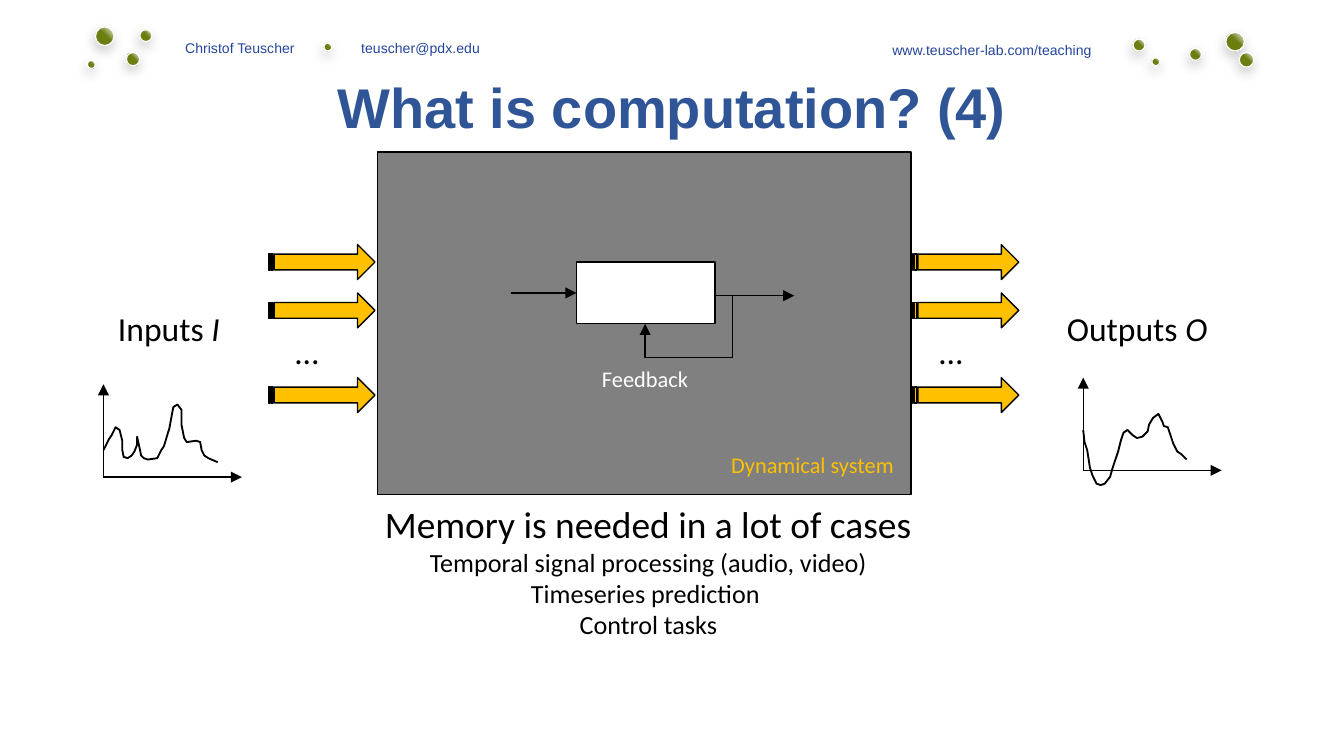
"""Builds the slide on computation with feedback and memory."""
from lxml.etree import SubElement
from pptx import Presentation
from pptx.dml.color import RGBColor
from pptx.enum.shapes import MSO_CONNECTOR as Connector, MSO_SHAPE as Shape
from pptx.enum.text import MSO_ANCHOR as Anchor, MSO_AUTO_SIZE as AutoSize, PP_ALIGN as Align
from pptx.oxml import parse_xml
from pptx.oxml.ns import nsdecls, qn
from pptx.util import Inches, Pt

BLACK, WHITE, GRAY = "000000", "FFFFFF", "808080"
ORANGE, NAVY, BLUE, GREEN = "FFC000", "24459C", "2F5597", "6A7F10"

DOTS = [
    (0.71, 0.2, 0.14), (9.12, 0.24, 0.14), (9.22, 0.39, 0.11), (1.04, 0.22, 0.09),
    (0.94, 0.39, 0.1), (0.65, 0.45, 0.06), (2.41, 0.32, 0.06), (8.85, 0.36, 0.09),
    (8.43, 0.29, 0.09), (8.57, 0.43, 0.06),
]
INPUT_CURVE = [
    (0.77, 3.35), (0.81, 3.27), (0.83, 3.24), (0.86, 3.18), (0.89, 3.2), (0.91, 3.28),
    (0.91, 3.35), (0.92, 3.4), (0.95, 3.41), (0.98, 3.39), (1, 3.36), (1.02, 3.31),
    (1.02, 3.25), (1.04, 3.34), (1.05, 3.39), (1.07, 3.41), (1.1, 3.42), (1.17, 3.41),
    (1.2, 3.35), (1.22, 3.32), (1.25, 3.22), (1.26, 3.19), (1.28, 3.08), (1.29, 3.03),
    (1.32, 3.01), (1.35, 3.05), (1.35, 3.16), (1.37, 3.26), (1.39, 3.29), (1.46, 3.28),
    (1.49, 3.29), (1.5, 3.35), (1.52, 3.39), (1.55, 3.41), (1.62, 3.44),
]
OUTPUT_CURVE = [
    (8.06, 3.2), (8.07, 3.29), (8.09, 3.35), (8.11, 3.48), (8.13, 3.54), (8.16, 3.6),
    (8.19, 3.61), (8.22, 3.6), (8.26, 3.55), (8.28, 3.48), (8.31, 3.39), (8.32, 3.36),
    (8.34, 3.28), (8.36, 3.22), (8.39, 3.2), (8.43, 3.24), (8.46, 3.26), (8.5, 3.25),
    (8.54, 3.21), (8.55, 3.16), (8.58, 3.11), (8.62, 3.08), (8.65, 3.14), (8.66, 3.17),
    (8.69, 3.18), (8.73, 3.3), (8.76, 3.36), (8.79, 3.38), (8.83, 3.42),
]


def color(value):
    return RGBColor.from_string(value)


class SlideBuilder:
    """Holds the style and the current slide."""

    def __init__(self, slide, font="Calibri", line_width=0.75):
        self.slide = slide
        self.font = font
        self.line_width = line_width

    def title(self, text, left, top, width, height):
        title = self.slide.shapes.title
        title.left, title.top = Inches(left), Inches(top)
        title.width, title.height = Inches(width), Inches(height)
        title.text_frame.vertical_anchor = Anchor.MIDDLE
        title.text_frame.text = text
        paragraph = title.text_frame.paragraphs[0]
        paragraph.alignment, paragraph.line_spacing = Align.CENTER, 0.9
        self.style_font(paragraph.font, 30, BLUE, "Arial")
        paragraph.font.bold = True

    def style_font(self, font, size, hue, name=None):
        font.name, font.size = name or self.font, Pt(size)
        font.color.rgb = color(hue)

    def text(self, lines, left, top, width, height, hue=BLACK, align=Align.LEFT,
             font=None, anchor=Anchor.TOP, tabs=()):
        box = self.slide.shapes.add_textbox(
            Inches(left), Inches(top), Inches(width), Inches(height))
        frame = box.text_frame
        is_label = anchor == Anchor.TOP
        frame.word_wrap, frame.vertical_anchor = not is_label, anchor
        frame.auto_size = AutoSize.SHAPE_TO_FIT_TEXT if is_label else AutoSize.NONE
        for index, (text, size) in enumerate(lines):
            paragraph = frame.add_paragraph() if index else frame.paragraphs[0]
            paragraph.alignment = align
            paragraph.add_run().text = text
            if tabs:
                self.tab_stops(paragraph, tabs)
            self.style_font(paragraph.font, size, hue, font)
        return frame.paragraphs[0]

    def tab_stops(self, paragraph, tabs):
        stops = SubElement(paragraph._p.get_or_add_pPr(), qn("a:tabLst"))
        for position in tabs:
            SubElement(stops, qn("a:tab"), pos=str(Inches(position)), algn="l")

    def signal_label(self, name, symbol, left, top, width, height):
        paragraph = self.text([(name, 18)], left, top, width, height)
        run = paragraph.add_run()
        run.text, run.font.italic = symbol, True

    def shape(self, kind, left, top, width, height, fill, line=BLACK):
        shape = self.slide.shapes.add_shape(
            kind, Inches(left), Inches(top), Inches(width), Inches(height))
        shape.shadow.inherit = False
        shape.fill.solid()
        shape.fill.fore_color.rgb = color(fill)
        shape.line.color.rgb = color(line)
        shape.line.width = Pt(self.line_width)
        return shape

    def dot(self, left, top, size):
        properties = self.shape(Shape.OVAL, left, top, size, size, GREEN, WHITE)._element.spPr
        gradient = parse_xml(
            f'<a:gradFill {nsdecls("a")} rotWithShape="1"><a:gsLst>'
            f'<a:gs pos="53000"><a:srgbClr val="{GREEN}"/></a:gs>'
            f'<a:gs pos="100000"><a:srgbClr val="{WHITE}"/></a:gs></a:gsLst>'
            '<a:path path="circle"><a:fillToRect t="100000" r="100000"/></a:path></a:gradFill>')
        properties.replace(properties.find(qn("a:solidFill")), gradient)
        shadow = SubElement(properties.find(qn("a:effectLst")), qn("a:outerShdw"),
                            blurRad=str(Pt(6.5)), dist=str(Pt(3)), dir="6240000")
        shade = SubElement(shadow, qn("a:srgbClr"), val=BLACK)
        SubElement(shade, qn("a:alpha"), val="20000")

    def block_arrow(self, left, top):
        arrow = self.shape(Shape.STRIPED_RIGHT_ARROW, left, top, 0.79, 0.26, ORANGE)
        arrow.adjustments[0], arrow.adjustments[1] = 0.45, 0.5

    def stroke(self, item, width):
        item.line.color.rgb = color(BLACK)
        item.line.width = Pt(width)

    def arrowhead(self, item):
        SubElement(item.line._get_or_add_ln(), qn("a:tailEnd"), type="triangle")

    def arrow(self, start, end):
        connector = self.slide.shapes.add_connector(
            Connector.STRAIGHT, *map(Inches, start + end))
        self.stroke(connector, self.line_width)
        self.arrowhead(connector)
        SubElement(connector._element.spPr, qn("a:effectLst"))

    def path_line(self, points, width):
        first, *rest = [(Inches(x), Inches(y)) for x, y in points]
        builder = self.slide.shapes.build_freeform(*first)
        builder.add_line_segments(rest, close=False)
        outline = builder.convert_to_shape()
        outline.shadow.inherit = False
        outline.fill.background()
        self.stroke(outline, width)
        return outline

    def plot(self, left, bottom, points):
        self.arrow((left, bottom), (left, bottom - 0.69))
        self.arrow((left, bottom), (left + 1.03, bottom))
        self.path_line(points, 1)


def main():
    presentation = Presentation()
    presentation.slide_width = Inches(10)
    presentation.slide_height = presentation.slide_width * 9 // 16
    builder = SlideBuilder(presentation.slides.add_slide(presentation.slide_layouts[5]))

    header = {"hue": NAVY, "font": "Arial", "anchor": Anchor.BOTTOM}
    builder.text([("\tChristof Teuscher\tteuscher@pdx.edu", 7.5)], 0.93, 0.13, 3.6, 0.34,
                 tabs=(0.35, 1.66), **header)
    builder.text([("www.teuscher-lab.com/teaching", 7.5)], 5.74, 0.14, 2.48, 0.34,
                 align=Align.RIGHT, **header)
    for dot in DOTS:
        builder.dot(*dot)
    builder.title("What is computation? (4)", 0, 0.59, 10, 0.46)

    builder.shape(Shape.RECTANGLE, 2.81, 1.13, 3.97, 2.55, GRAY)
    for left in (2, 6.79):
        for top in (1.82, 2.18, 2.81):
            builder.block_arrow(left, top)
        builder.text([("…", 18)], left + 0.1, 2.41, 0.45, 0.4)
    builder.signal_label("Inputs ", "I", 0.78, 2.24, 1.1, 0.4)
    builder.signal_label("Outputs ", "O", 7.84, 2.24, 1.44, 0.4)
    builder.text([("Memory is needed in a lot of cases", 20),
                  ("Temporal signal processing (audio, video)", 14),
                  ("Timeseries prediction ", 14), ("Control tasks", 14)],
                 2.56, 3.68, 4.53, 1.38, align=Align.CENTER)
    builder.plot(0.77, 3.55, INPUT_CURVE)
    builder.plot(8.06, 3.5, OUTPUT_CURVE)

    builder.shape(Shape.RECTANGLE, 4.29, 1.95, 1.03, 0.46, WHITE)
    builder.arrow((3.8, 2.18), (4.29, 2.18))
    builder.arrow((5.31, 2.2), (5.91, 2.2))
    feedback = builder.path_line([(5.45, 2.2), (5.45, 2.66), (4.8, 2.66), (4.8, 2.41)], 0.75)
    builder.arrowhead(feedback)
    builder.text([("Feedback", 12)], 4.33, 2.67, 0.94, 0.3, WHITE, Align.CENTER)
    builder.text([("Dynamical system", 12)], 5.08, 3.31, 1.67, 0.3, ORANGE, Align.RIGHT)
    presentation.save("out.pptx")


if __name__ == "__main__":
    main()
